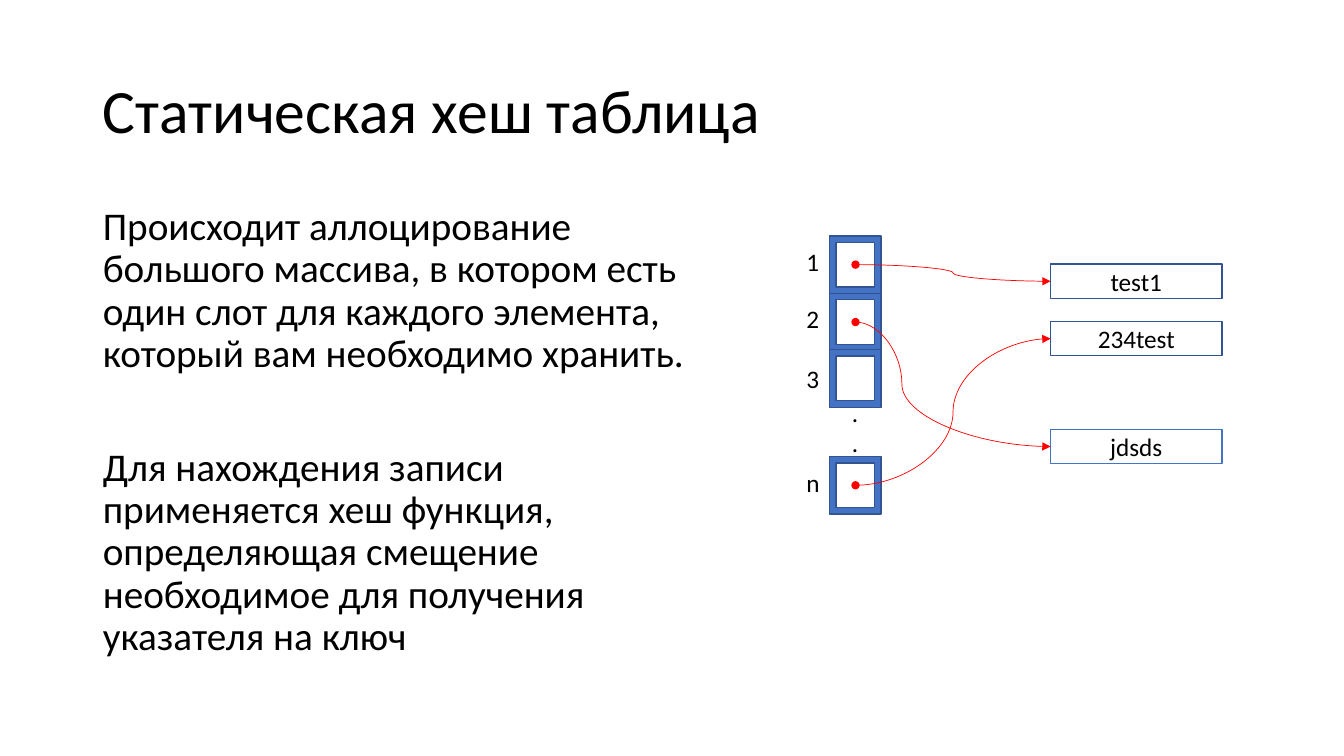
import dataclasses

import lxml.etree
import pptx
import pptx.dml.color
import pptx.enum.shapes
import pptx.enum.text
import pptx.oxml.ns
import pptx.shapes.autoshape
import pptx.shapes.base
import pptx.slide
import pptx.text.text
import pptx.util

Inches = pptx.util.Inches
Pt = pptx.util.Pt
ALIGN = pptx.enum.text.PP_ALIGN
ANCHOR = pptx.enum.text.MSO_ANCHOR
FIT = pptx.enum.text.MSO_AUTO_SIZE
SHAPE = pptx.enum.shapes.MSO_SHAPE
qn = pptx.oxml.ns.qn

FONT = "Calibri"
BLACK, WHITE, RED = "000000", "FFFFFF", "FF0000"
BLUE, DARK_BLUE = "4472C4", "325491"

SLOT_LEFT, SLOT_WIDTH, SLOT_HEIGHT = 8.23, 0.51, 0.57
KEY_LEFT, KEY_WIDTH, KEY_HEIGHT = 10.42, 1.7, 0.34
LABEL_LEFT, LABEL_WIDTH, LABEL_HEIGHT = 7.9, 0.33, 0.4


@dataclasses.dataclass(frozen=True)
class Slot:
    label: str
    top: float
    label_top: float

    @property
    def middle(self) -> float:
        return self.top + SLOT_HEIGHT / 2


@dataclasses.dataclass(frozen=True)
class Key:
    text: str
    top: float
    outline: str

    @property
    def middle(self) -> float:
        return self.top + KEY_HEIGHT / 2


@dataclasses.dataclass(frozen=True)
class Link:
    """An arrow from a slot to a key; bend is where it turns, in 1/100000 of its width."""
    slot: Slot
    key: Key
    bend: int = 50000


SLOT_1 = Slot("1", 2.34, 2.39)
SLOT_2 = Slot("2", 2.91, 2.96)
SLOT_3 = Slot("3", 3.47, 3.56)
SLOT_N = Slot("n", 4.53, 4.59)
KEY_1 = Key("test1", 2.62, DARK_BLUE)
KEY_2 = Key("234test", 3.19, DARK_BLUE)
KEY_3 = Key("jdsds", 4.26, BLUE)

SLOTS = [SLOT_1, SLOT_N, SLOT_2, SLOT_3]
KEYS = [KEY_1, KEY_2, KEY_3]
LINKS = [Link(SLOT_1, KEY_1), Link(SLOT_2, KEY_3, 23800), Link(SLOT_N, KEY_2)]

TITLE = "Статическая хеш таблица"
BODY = [
    "Происходит аллоцирование большого массива, в котором есть один слот "
    "для каждого элемента, который вам необходимо хранить.",
    "Для нахождения записи применяется хеш функция, определяющая смещение "
    "необходимое для получения указателя на ключ",
]


def color(value: str) -> pptx.dml.color.RGBColor:
    return pptx.dml.color.RGBColor.from_string(value)


def write(frame: pptx.text.text.TextFrame, text: str, size: float,
          align: ALIGN = ALIGN.LEFT) -> None:
    frame.text = text
    for para in frame.paragraphs:
        para.alignment = align
        for span in para.runs:
            span.font.name = FONT
            span.font.size = Pt(size)
            span.font.color.rgb = color(BLACK)


def place(shape: pptx.shapes.base.BaseShape, left: float, top: float,
          width: float, height: float) -> None:
    shape.left, shape.top = Inches(left), Inches(top)
    shape.width, shape.height = Inches(width), Inches(height)


def fill_title(slide: pptx.slide.Slide) -> None:
    title = slide.shapes.title
    place(title, 0.92, 0.4, 11.5, 1.45)
    write(title.text_frame, TITLE, 44)
    title.text_frame.vertical_anchor = ANCHOR.MIDDLE
    title.text_frame.auto_size = FIT.NONE
    title.text_frame.paragraphs[0].line_spacing = 0.9


def fill_body(slide: pptx.slide.Slide) -> None:
    body = slide.placeholders[1]
    place(body, 0.92, 2, 5.97, 4.76)
    write(body.text_frame, "\n".join(BODY), 28)
    body.text_frame.auto_size = FIT.NONE
    for para, gap in zip(body.text_frame.paragraphs, (10, 51)):
        para.line_spacing = 0.9
        para.space_before = Pt(gap)
        properties = para._p.get_or_add_pPr()
        properties.set("marL", "0")
        properties.set("indent", "0")
        lxml.etree.SubElement(properties, qn("a:buNone"))


def add_box(slide: pptx.slide.Slide, kind: SHAPE, left: float, top: float, width: float,
            height: float, fill: str, outline: str) -> pptx.shapes.autoshape.Shape:
    box = slide.shapes.add_shape(kind, Inches(left), Inches(top), Inches(width), Inches(height))
    box.shadow.inherit = False
    box.fill.solid()
    box.fill.fore_color.rgb = color(fill)
    box.line.color.rgb = color(outline)
    box.line.width = Pt(1)
    return box


def add_label(slide: pptx.slide.Slide, text: str, left: float, top: float,
              width: float, height: float) -> None:
    label = slide.shapes.add_textbox(Inches(left), Inches(top), Inches(width), Inches(height))
    write(label.text_frame, text, 18)
    label.text_frame.word_wrap = False
    label.text_frame.auto_size = FIT.SHAPE_TO_FIT_TEXT


def add_key(slide: pptx.slide.Slide, key: Key) -> None:
    box = add_box(slide, SHAPE.RECTANGLE, KEY_LEFT, key.top, KEY_WIDTH, KEY_HEIGHT,
                  WHITE, key.outline)
    write(box.text_frame, key.text, 18, ALIGN.CENTER)
    box.text_frame.vertical_anchor = ANCHOR.MIDDLE


def add_link(slide: pptx.slide.Slide, link: Link) -> None:
    arrow = slide.shapes.add_connector(
        pptx.enum.shapes.MSO_CONNECTOR.CURVE,
        Inches(SLOT_LEFT + SLOT_WIDTH / 2), Inches(link.slot.middle),
        Inches(KEY_LEFT), Inches(link.key.middle))
    arrow.line.color.rgb = color(RED)
    arrow.line.width = Pt(0.5)
    properties = arrow._element.spPr
    line = properties.find(qn("a:ln"))
    lxml.etree.SubElement(line, qn("a:headEnd"), type="oval")
    lxml.etree.SubElement(line, qn("a:tailEnd"), type="triangle")
    lxml.etree.SubElement(properties, qn("a:effectLst"))
    adjustments = properties.find(qn("a:prstGeom")).find(qn("a:avLst"))
    lxml.etree.SubElement(adjustments, qn("a:gd"), name="adj1", fmla=f"val {link.bend}")


def main() -> None:
    deck = pptx.Presentation()
    deck.slide_width, deck.slide_height = Inches(13.33), Inches(7.5)
    page = deck.slides.add_slide(deck.slide_layouts[1])
    fill_title(page)
    fill_body(page)
    for slot in SLOTS:
        add_box(page, SHAPE.FRAME, SLOT_LEFT, slot.top, SLOT_WIDTH, SLOT_HEIGHT, BLUE, DARK_BLUE)
    add_label(page, ".\n.", 8.35, 3.89, 0.27, 0.71)
    for slot in sorted(SLOTS, key=lambda item: item.top):
        add_label(page, slot.label, LABEL_LEFT, slot.label_top, LABEL_WIDTH, LABEL_HEIGHT)
    for key in KEYS:
        add_key(page, key)
    for link in LINKS:
        add_link(page, link)
    deck.save("out.pptx")


if __name__ == "__main__":
    main()
